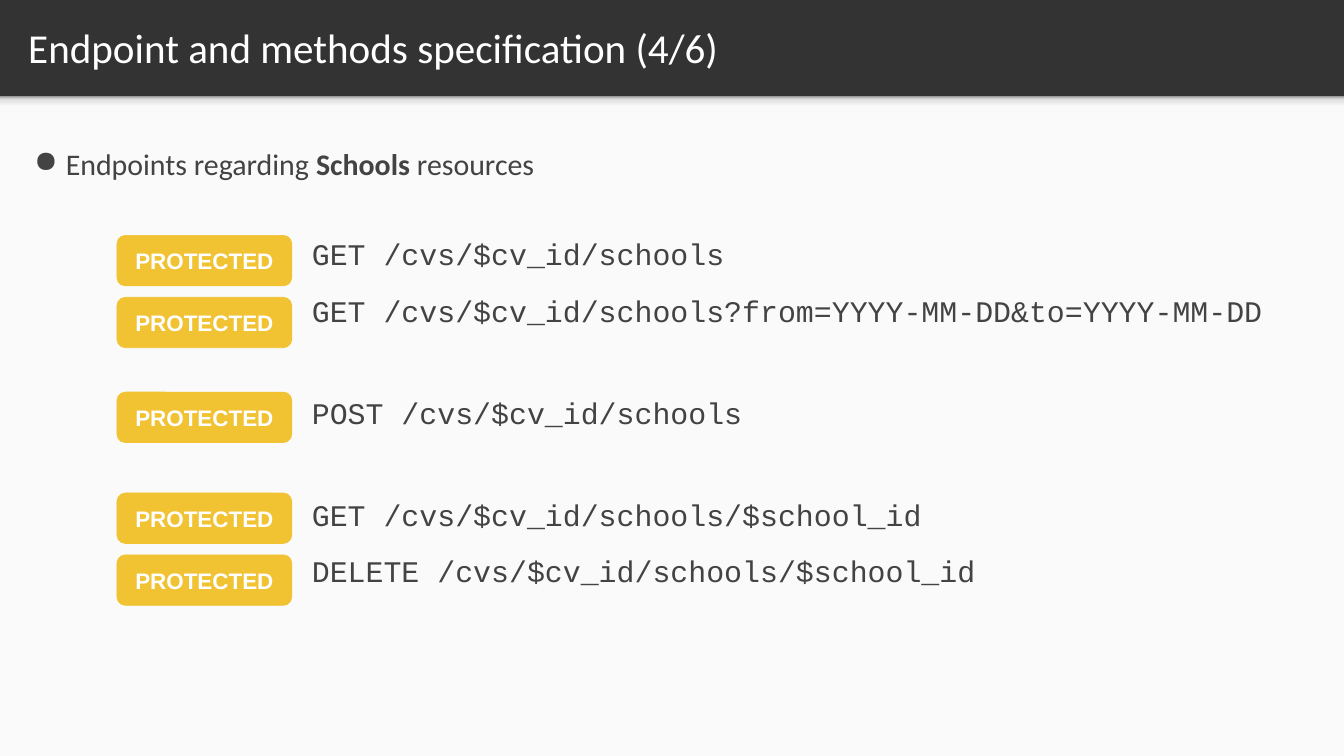
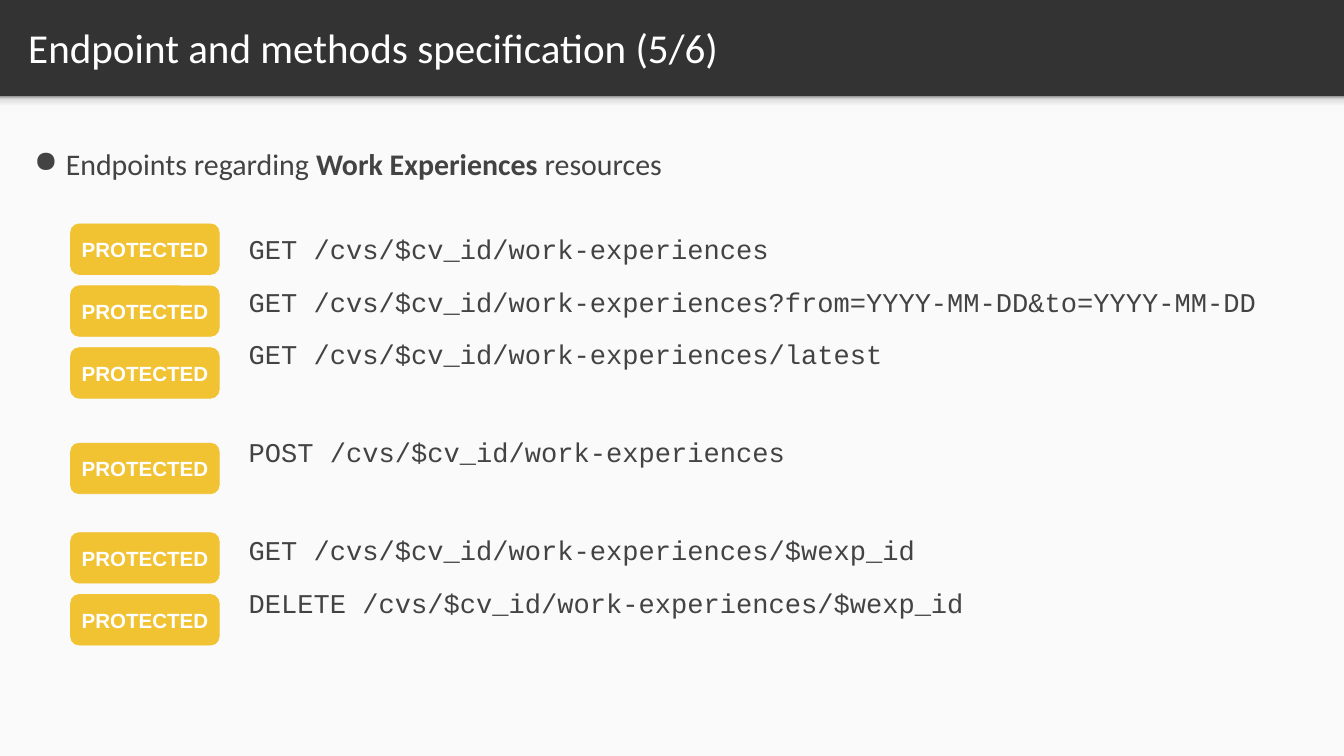
from lxml.etree import SubElement
from pptx import Presentation
from pptx.dml.color import RGBColor
from pptx.enum.shapes import MSO_SHAPE as Shape
from pptx.enum.text import MSO_ANCHOR as Anchor, MSO_AUTO_SIZE as AutoSize, PP_ALIGN as Align
from pptx.oxml.ns import qn
from pptx.util import Inches, Pt

WIDTH, HEIGHT = 19.99, 11.24
TITLE_ONLY = 5


def rgb(color):
    return RGBColor.from_string(color)


class Deck:
    DARK, PAPER, WHITE = "333333", "FAFAFA", "FFFFFF"
    INK, AMBER = "434343", "F1C232"
    EDGE_SHADE = ((0, "F9F9F9"), (36, "F9F9F9"), (80, "DEDEDE"), (100, "999999"))
    HEADING_FONT, CODE_FONT, BADGE_FONT = "Calibri", "Courier New", "Arial"
    BADGE_HEIGHT, BADGE_PITCH = 0.75, 0.92
    LINE_SPACING, SPACE_BEFORE, GROUP_SPACE_BEFORE = 1.15, 16, 65

    def __init__(self):
        self.prs = Presentation()
        self.prs.slide_width, self.prs.slide_height = Inches(WIDTH), Inches(HEIGHT)
        background = self.prs.slide_master.background.fill
        background.solid()
        background.fore_color.rgb = rgb(self.DARK)
        self.slide = None

    def add_slide(self, title):
        self.slide = self.prs.slides.add_slide(self.prs.slide_layouts[TITLE_ONLY])
        self.page_area()
        self.title(title)

    def shape(self, kind, left, top, width, height, color=None):
        shape = self.slide.shapes.add_shape(
            kind, Inches(left), Inches(top), Inches(width), Inches(height))
        shape.shadow.inherit = False
        shape.line.fill.background()
        if color:
            shape.fill.solid()
            shape.fill.fore_color.rgb = rgb(color)
        return shape

    def page_area(self):
        """Light page below the title band, with the band's soft shadow on it."""
        self.shape(Shape.RECTANGLE, 0, 1.44, WIDTH, HEIGHT - 1.44, self.PAPER)
        edge = self.shape(Shape.RECTANGLE, 0, 1.43, WIDTH, 0.24)
        edge.fill.gradient()
        edge.fill.gradient_angle = 90
        stops = edge.element.spPr.find(".//" + qn("a:gsLst"))
        for stop in list(stops):
            stops.remove(stop)
        for percent, color in self.EDGE_SHADE:
            stop = SubElement(stops, qn("a:gs"), pos=str(percent * 1000))
            SubElement(stop, qn("a:srgbClr"), val=color)

    def frame(self, holder, inset, anchor=Anchor.TOP):
        frame = holder.text_frame
        frame.word_wrap = True
        frame.auto_size = AutoSize.NONE
        frame.vertical_anchor = anchor
        frame.margin_left = frame.margin_right = Inches(inset)
        frame.margin_top = frame.margin_bottom = Inches(inset)
        return frame

    def text_box(self, left, top, width, height):
        return self.frame(self.slide.shapes.add_textbox(
            Inches(left), Inches(top), Inches(width), Inches(height)), 0.1)

    def run(self, paragraph, text, size, font, color, bold=False):
        run = paragraph.add_run()
        run.text = text
        run.font.size, run.font.name, run.font.bold = Pt(size), font, bold
        run.font.color.rgb = rgb(color)

    def space(self, paragraph, before):
        paragraph.line_spacing = self.LINE_SPACING
        paragraph.space_before = Pt(before)

    def title(self, text):
        title = self.slide.shapes.title
        title.left, title.top = Inches(0.22), Inches(0.04)
        title.width, title.height = Inches(19.29), Inches(1.32)
        paragraph = self.frame(title, 0.2, Anchor.MIDDLE).paragraphs[0]
        paragraph.alignment = Align.LEFT
        self.run(paragraph, text, 44, self.HEADING_FONT, self.WHITE)

    def topic(self, resource):
        paragraph = self.text_box(0.38, 1.98, 19.13, 1.18).paragraphs[0]
        self.space(paragraph, self.SPACE_BEFORE)
        properties = paragraph._p.get_or_add_pPr()
        properties.set("marL", str(Inches(0.5)))
        properties.set("indent", str(Inches(-0.47)))
        bullet_color = SubElement(properties, qn("a:buClr"))
        SubElement(bullet_color, qn("a:srgbClr"), val=self.INK)
        SubElement(properties, qn("a:buChar"), char="●")
        for text, bold in (("Endpoints regarding ", False), (resource + " ", True),
                           ("resources", False)):
            self.run(paragraph, text, 32, self.HEADING_FONT, self.INK, bold)

    def endpoints(self, left, top, width, size, groups):
        """One line per endpoint, with a wider gap before each new group."""
        frame = self.text_box(left, top, width, 6.24)
        paragraph = None
        for _, calls in groups:
            for index, call in enumerate(calls):
                starts_group = paragraph is not None and index == 0
                paragraph = frame.add_paragraph() if paragraph is not None else frame.paragraphs[0]
                self.space(paragraph,
                           self.GROUP_SPACE_BEFORE if starts_group else self.SPACE_BEFORE)
                self.run(paragraph, call, size, self.CODE_FONT, self.INK)

    def badges(self, left, width, size, groups):
        for top, calls in groups:
            for index in range(len(calls)):
                badge = self.shape(Shape.ROUNDED_RECTANGLE, left, top + index * self.BADGE_PITCH,
                                   width, self.BADGE_HEIGHT, self.AMBER)
                badge.line.color.rgb = rgb(self.AMBER)
                badge.line.width = Pt(0.75)
                paragraph = self.frame(badge, 0.1, Anchor.MIDDLE).paragraphs[0]
                paragraph.alignment = Align.CENTER
                self.run(paragraph, "PROTECTED", size, self.BADGE_FONT, self.WHITE, True)


# Each group: top of its first badge, then its endpoints
SCHOOLS = (
    (3.5, ("GET /cvs/$cv_id/schools",
           "GET /cvs/$cv_id/schools?from=YYYY-MM-DD&to=YYYY-MM-DD")),
    (5.83, ("POST /cvs/$cv_id/schools",)),
    (7.33, ("GET /cvs/$cv_id/schools/$school_id",
            "DELETE /cvs/$cv_id/schools/$school_id")),
)
WORK_EXPERIENCES = (
    (3.33, ("GET /cvs/$cv_id/work-experiences",
            "GET /cvs/$cv_id/work-experiences?from=YYYY-MM-DD&to=YYYY-MM-DD",
            "GET /cvs/$cv_id/work-experiences/latest")),
    (6.59, ("POST /cvs/$cv_id/work-experiences",)),
    (7.92, ("GET /cvs/$cv_id/work-experiences/$wexp_id",
            "DELETE /cvs/$cv_id/work-experiences/$wexp_id")),
)


def main():
    deck = Deck()

    deck.add_slide("Endpoint and methods specification (4/6)")
    deck.topic("Schools")
    deck.endpoints(4.54, 3.33, 14.74, 32, SCHOOLS)
    deck.badges(1.74, 2.6, 24, SCHOOLS)

    deck.add_slide("Endpoint and methods specification (5/6)")
    deck.topic("Work Experiences")
    deck.endpoints(3.6, 3.29, 15.63, 29, WORK_EXPERIENCES)
    deck.badges(1.05, 2.21, 22, WORK_EXPERIENCES)

    deck.prs.save("out.pptx")


if __name__ == "__main__":
    main()
